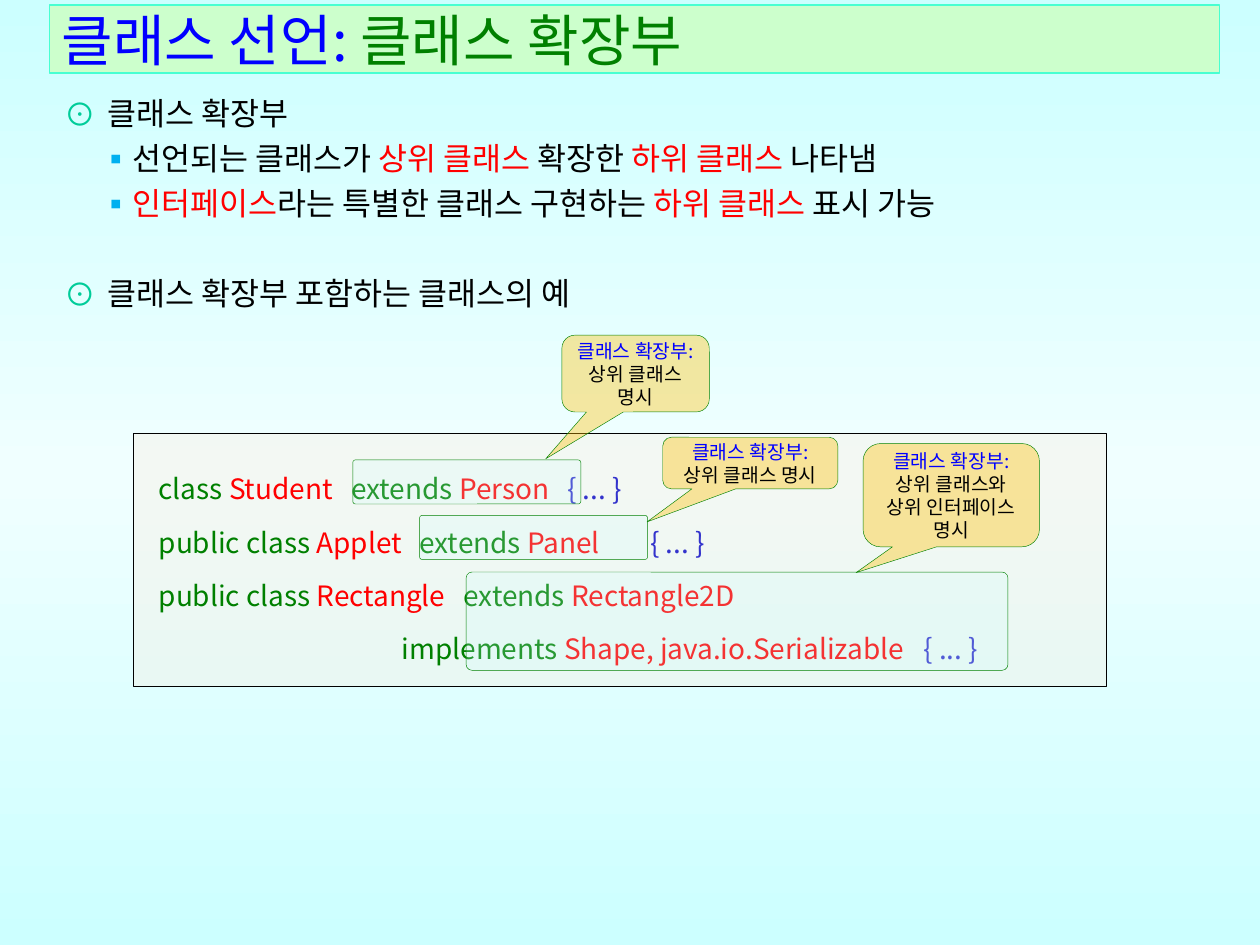
from dataclasses import dataclass

from lxml import etree
from pptx import Presentation
from pptx.dml.color import RGBColor
from pptx.enum.shapes import MSO_SHAPE
from pptx.enum.text import MSO_ANCHOR, MSO_AUTO_SIZE, PP_ALIGN
from pptx.oxml.ns import qn
from pptx.util import Inches, Pt

RECTANGLE = MSO_SHAPE.RECTANGLE
ROUNDED = MSO_SHAPE.ROUNDED_RECTANGLE
CALLOUT = MSO_SHAPE.ROUNDED_RECTANGULAR_CALLOUT
LEFT, CENTER = PP_ALIGN.LEFT, PP_ALIGN.CENTER
TOP, MIDDLE = MSO_ANCHOR.TOP, MSO_ANCHOR.MIDDLE
NO_AUTOFIT = MSO_AUTO_SIZE.NONE


@dataclass(frozen=True)
class Theme:
    font: str = "Noto Sans CJK KR"
    title_size: int = 32
    body_size: int = 18
    code_size: int = 16
    callout_size: int = 11
    black: str = "000000"
    blue: str = "0000FF"
    green: str = "008000"
    red: str = "FF0000"
    brace: str = "3333CC"
    target: str = "00CC99"
    square: str = "00B0F0"
    edge: str = "CCFFFF"
    middle: str = "F0FFFF"
    title_fill: str = "CCFFCC"
    title_line: str = "47FFD1"
    code_fill: str = "FDEADA"
    callout_fill: str = "FFC000"


THEME = Theme()


class SlideBuilder:
    def __init__(self, slide, theme):
        self.slide = slide
        self.theme = theme

    def background(self):
        fill = self.slide.background.fill
        fill.gradient()
        fill.gradient_angle = 90
        stops = fill._fill._gradFill.find(qn("a:gsLst"))
        for stop in list(stops):
            stops.remove(stop)
        colors = (self.theme.edge, self.theme.middle, self.theme.edge)
        for position, color in zip((0, 50000, 100000), colors):
            stop = etree.SubElement(stops, qn("a:gs"), pos=str(position))
            etree.SubElement(stop, qn("a:srgbClr"), val=color)

    def place(self, shape, box):
        shape.left, shape.top, shape.width, shape.height = map(Inches, box)

    def paint(self, shape, fill, line, width, opacity=100):
        shape.fill.solid()
        shape.fill.fore_color.rgb = RGBColor.from_string(fill)
        if opacity < 100:
            color = shape.fill._xPr.find(qn("a:solidFill"))[0]
            etree.SubElement(color, qn("a:alpha"), val=str(opacity * 1000))
        shape.line.color.rgb = RGBColor.from_string(line)
        shape.line.width = Pt(width)

    def frame(self, shape, margins, anchor):
        frame = shape.text_frame
        frame.word_wrap = True
        frame.auto_size = NO_AUTOFIT
        frame.vertical_anchor = anchor
        horizontal, vertical = map(Inches, margins)
        frame.margin_left = frame.margin_right = horizontal
        frame.margin_top = frame.margin_bottom = vertical
        return frame

    def add_lines(self, frame, lines, size, align):
        """Fill the frame with paragraphs, each a list of (text, color) runs."""
        paragraphs = [frame.paragraphs[0]]
        paragraphs += [frame.add_paragraph() for _ in lines[1:]]
        for paragraph, runs in zip(paragraphs, lines):
            paragraph.alignment = align
            for text, color in runs:
                run = paragraph.add_run()
                run.text = text
                run.font.size = Pt(size)
                run.font.name = self.theme.font
                run.font.color.rgb = RGBColor.from_string(color)
                etree.SubElement(run._r.get_or_add_rPr(), qn("a:ea"),
                                 typeface=self.theme.font)
        return paragraphs

    def title(self, box, runs):
        shape = self.slide.shapes.title
        self.place(shape, box)
        self.paint(shape, self.theme.title_fill, self.theme.title_line, 0.75)
        frame = self.frame(shape, (0.1, 0), MIDDLE)
        self.add_lines(frame, [runs], self.theme.title_size, LEFT)

    def bullet(self, paragraph, character, color, margin, hanging):
        properties = paragraph._p.get_or_add_pPr()
        properties.set("marL", str(Inches(margin)))
        properties.set("indent", str(-Inches(hanging)))
        bullet_color = etree.SubElement(properties, qn("a:buClr"))
        etree.SubElement(bullet_color, qn("a:srgbClr"), val=color)
        etree.SubElement(properties, qn("a:buFont"), typeface=self.theme.font)
        etree.SubElement(properties, qn("a:buChar"), char=character)

    def body(self, box, items):
        """Add (level, space before, runs) items as a bulleted list."""
        shape = self.slide.placeholders[1]
        self.place(shape, box)
        frame = self.frame(shape, (0.1, 0.05), TOP)
        paragraphs = self.add_lines(frame, [runs for _, _, runs in items],
                                    self.theme.body_size, LEFT)
        bullets = (("⊙", self.theme.target, 0.34, 0.34),
                   ("▪", self.theme.square, 0.53, 0.24))
        for paragraph, (level, space, _) in zip(paragraphs, items):
            paragraph.level = level
            paragraph.line_spacing = Pt(24)
            paragraph.space_before = Pt(space)
            self.bullet(paragraph, *bullets[level])

    def shape(self, kind, box, adjustments=()):
        shape = self.slide.shapes.add_shape(kind, *map(Inches, box))
        shape.shadow.inherit = False
        for index, value in enumerate(adjustments):
            shape.adjustments[index] = value
        return shape

    def code(self, box, lines):
        """Add (tab stops, runs) lines in a framed panel."""
        shape = self.shape(RECTANGLE, box)
        self.paint(shape, self.theme.code_fill, self.theme.black, 0.75, 30)
        frame = self.frame(shape, (0.2, 0.16), MIDDLE)
        paragraphs = self.add_lines(frame, [runs for _, runs in lines],
                                    self.theme.code_size, LEFT)
        for paragraph, (stops, _) in zip(paragraphs, lines):
            paragraph.line_spacing = 1.5
            paragraph.space_before = Pt(1.6)
            tabs = etree.SubElement(paragraph._p.get_or_add_pPr(), qn("a:tabLst"))
            for stop in stops:
                etree.SubElement(tabs, qn("a:tab"), pos=str(Inches(stop)), algn="l")

    def highlight(self, box):
        shape = self.shape(ROUNDED, box, (0.06,))
        self.paint(shape, self.theme.edge, self.theme.green, 0.25, 20)

    def callout(self, box, tip, lines):
        shape = self.shape(CALLOUT, box, (*tip, 0.17))
        self.paint(shape, self.theme.callout_fill, self.theme.green, 0.25, 37)
        runs = [[("클래스 확장부:", self.theme.blue)]]
        runs += [[(line, self.theme.black)] for line in lines]
        frame = self.frame(shape, (0, 0), MIDDLE)
        self.add_lines(frame, runs, self.theme.callout_size, CENTER)


def main():
    presentation = Presentation()
    presentation.slide_width, presentation.slide_height = Inches(10), Inches(7.5)
    slide = presentation.slides.add_slide(presentation.slide_layouts[1])
    builder = SlideBuilder(slide, THEME)
    black, blue, green = THEME.black, THEME.blue, THEME.green
    red, brace = THEME.red, THEME.brace

    builder.background()
    builder.title((0.39, 0.04, 9.29, 0.54),
                  [("클래스 선언: ", blue), ("클래스 확장부", green)])
    builder.body((0.41, 0.66, 9.53, 1.91), [
        (0, 1.8, [("클래스 확장부", black)]),
        (1, 1.8, [("선언되는 클래스가 ", black), ("상위 클래스 ", red),
                  ("확장한 ", black), ("하위 클래스 ", red), ("나타냄", black)]),
        (1, 1.8, [("인터페이스", red), ("라는 특별한 클래스 구현하는 ", black),
                  ("하위 클래스 ", red), ("표시 가능", black)]),
        (0, 27.6, [("클래스 확장부 포함하는 클래스의 예", black)]),
    ])
    builder.code((1.06, 3.44, 7.72, 2.01), [
        ((1.53, 3.24), [("class ", green), ("Student\t", red), ("extends ", green),
                        ("Person\t", red), ("{ ... }", brace)]),
        ((2.07, 3.9), [("public class ", green), ("Applet\t", red),
                       ("extends ", green), ("Panel\t", red), ("{ ... }", brace)]),
        ((2.42,), [("public class ", green), ("Rectangle\t", red),
                   ("extends ", green), ("Rectangle2D", red)]),
        ((1.93, 6.07), [("\timplements ", green),
                        ("Shape, java.io.Serializable\t", red), ("{ ... }", brace)]),
    ])
    for box in ((2.8, 3.65, 1.81, 0.35), (3.33, 4.09, 1.81, 0.35),
                (3.7, 4.54, 4.3, 0.78)):
        builder.highlight(box)
    builder.callout((4.46, 2.66, 1.17, 0.61), (-0.61, 1.11), ["상위 클래스", "명시"])
    builder.callout((5.26, 3.47, 1.39, 0.41), (-0.59, 1.14), ["상위 클래스 명시"])
    builder.callout((6.85, 3.52, 1.4, 0.82), (-0.54, 0.75),
                    ["상위 클래스와", "상위 인터페이스", "명시"])
    presentation.save("out.pptx")


if __name__ == "__main__":
    main()
